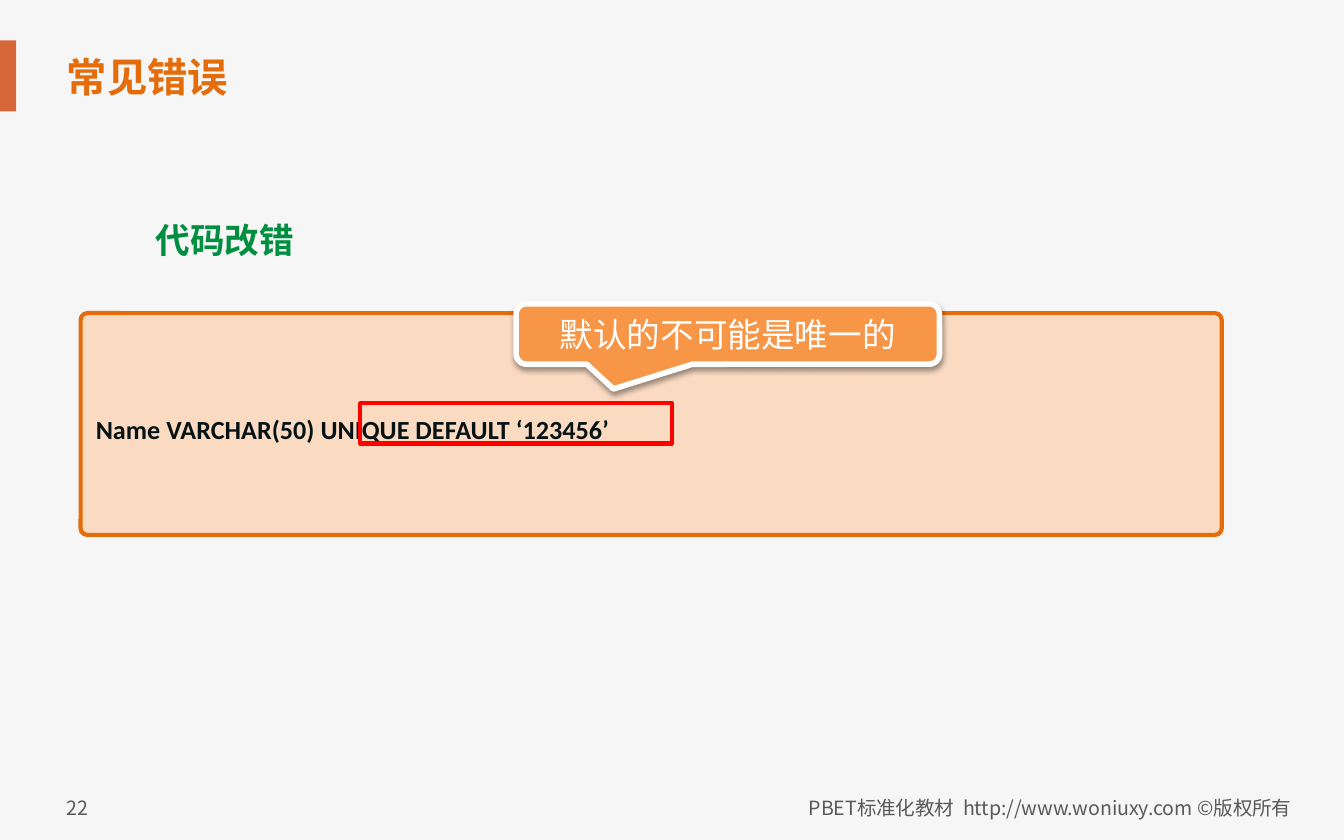
from lxml import etree
from pptx import Presentation
from pptx.dml.color import RGBColor
from pptx.enum.shapes import MSO_SHAPE as Shape
from pptx.enum.text import MSO_ANCHOR as Anchor, PP_ALIGN as Align
from pptx.oxml import parse_xml
from pptx.oxml.ns import nsdecls, qn
from pptx.util import Inches, Pt

COLORS = {
    "background": "F6F6F6", "accent": "D76739", "title": "E46C0A",
    "heading": "008E40", "footer": "595959", "code_fill": "FCD5B5",
    "code": "071215", "callout": "F79646", "white": "FFFFFF", "mark": "FF0000",
}
CJK, LATIN = "Noto Sans CJK SC", "Calibri"


def color(name):
    return RGBColor.from_string(COLORS[name])


def write(shape, text, size, ink, font=CJK, bold=False, align=Align.LEFT,
          anchor=Anchor.TOP, wrap=True):
    frame = shape.text_frame
    frame.word_wrap = wrap
    frame.vertical_anchor = anchor
    paragraph = frame.paragraphs[0]
    paragraph.alignment = align
    run = paragraph.add_run()
    run.text = text
    run.font.size = Pt(size)
    run.font.bold = bold
    run.font.name = font
    run.font.color.rgb = color(ink)
    east_asian = etree.SubElement(run.font._element, qn("a:ea"))
    east_asian.set("typeface", CJK)
    return paragraph


def add_label(slide, box, text, size, ink, **style):
    label = slide.shapes.add_textbox(*map(Inches, box))
    write(label, text, size, ink, **style)
    return label


def add_block(slide, kind, box, fill=None, line=None, width=0, adjust=()):
    block = slide.shapes.add_shape(kind, *map(Inches, box))
    block.shadow.inherit = False
    for index, value in enumerate(adjust):
        block.adjustments[index] = value
    if fill:
        block.fill.solid()
        block.fill.fore_color.rgb = color(fill)
    else:
        block.fill.background()
    if line:
        block.line.color.rgb = color(line)
        block.line.width = Pt(width)
    else:
        block.line.fill.background()
    return block


def set_opacity(block, percent):
    tint = block._element.spPr.find(qn("a:solidFill")).find(qn("a:srgbClr"))
    etree.SubElement(tint, qn("a:alpha")).set("val", str(percent * 1000))


def drop_shadow(block, blur, distance, opacity):
    effects = block._element.spPr.find(qn("a:effectLst"))
    effects.append(parse_xml(
        f'<a:outerShdw {nsdecls("a")} blurRad="{Pt(blur)}" dist="{Pt(distance)}" '
        f'dir="5400000" rotWithShape="0"><a:srgbClr val="000000">'
        f'<a:alpha val="{opacity * 1000}"/></a:srgbClr></a:outerShdw>'))


def add_frame(slide):
    slide.background.fill.solid()
    slide.background.fill.fore_color.rgb = color("background")
    add_block(slide, Shape.RECTANGLE, (0, 0.3, 0.12, 0.53), "accent")
    # Footer
    notice = add_label(slide, (4.99, 5.87, 4.76, 0.28),
                       "PBET标准化教材  http://www.woniuxy.com ©版权所有",
                       10.5, "footer", align=Align.RIGHT)
    notice.text_frame.margin_right = Inches(0.14)
    add_label(slide, (0.4, 5.87, 0.4, 0.28), "22", 10.5, "footer", wrap=False)
    # Title
    add_label(slide, (0.4, 0.33, 7.02, 0.48), "常见错误", 21.6, "title",
              bold=True, anchor=Anchor.MIDDLE)


def add_code_exercise(slide):
    add_label(slide, (1.06, 1.58, 1.31, 0.41), "代码改错", 18.5, "heading", bold=True)
    # Faulty statement
    code = add_block(slide, Shape.ROUNDED_RECTANGLE, (0.6, 2.33, 8.49, 1.65),
                     "code_fill", "title", 2.25, (0.03,))
    set_opacity(code, 80)
    statement = write(code, "Name VARCHAR(50) UNIQUE DEFAULT ‘123456’", 14, "code",
                      font=LATIN, bold=True, anchor=Anchor.MIDDLE)
    statement.line_spacing = 1.3
    # Explanation and mark around the mistake
    callout = add_block(slide, Shape.ROUNDED_RECTANGULAR_CALLOUT,
                        (3.84, 2.26, 3.15, 0.45), "callout", "white", 3,
                        (-0.27, 0.91, 0.17))
    drop_shadow(callout, 3.1, 1.6, 38)
    write(callout, "默认的不可能是唯一的", 18, "white", font=LATIN,
          align=Align.CENTER, anchor=Anchor.MIDDLE)
    add_block(slide, Shape.FLOWCHART_PROCESS, (2.68, 3, 2.32, 0.3),
              line="mark", width=2.25)


def main():
    deck = Presentation()
    deck.slide_width, deck.slide_height = Inches(10), Inches(6.25)
    slide = deck.slides.add_slide(deck.slide_layouts[6])
    add_frame(slide)
    add_code_exercise(slide)
    deck.save("out.pptx")


if __name__ == "__main__":
    main()
